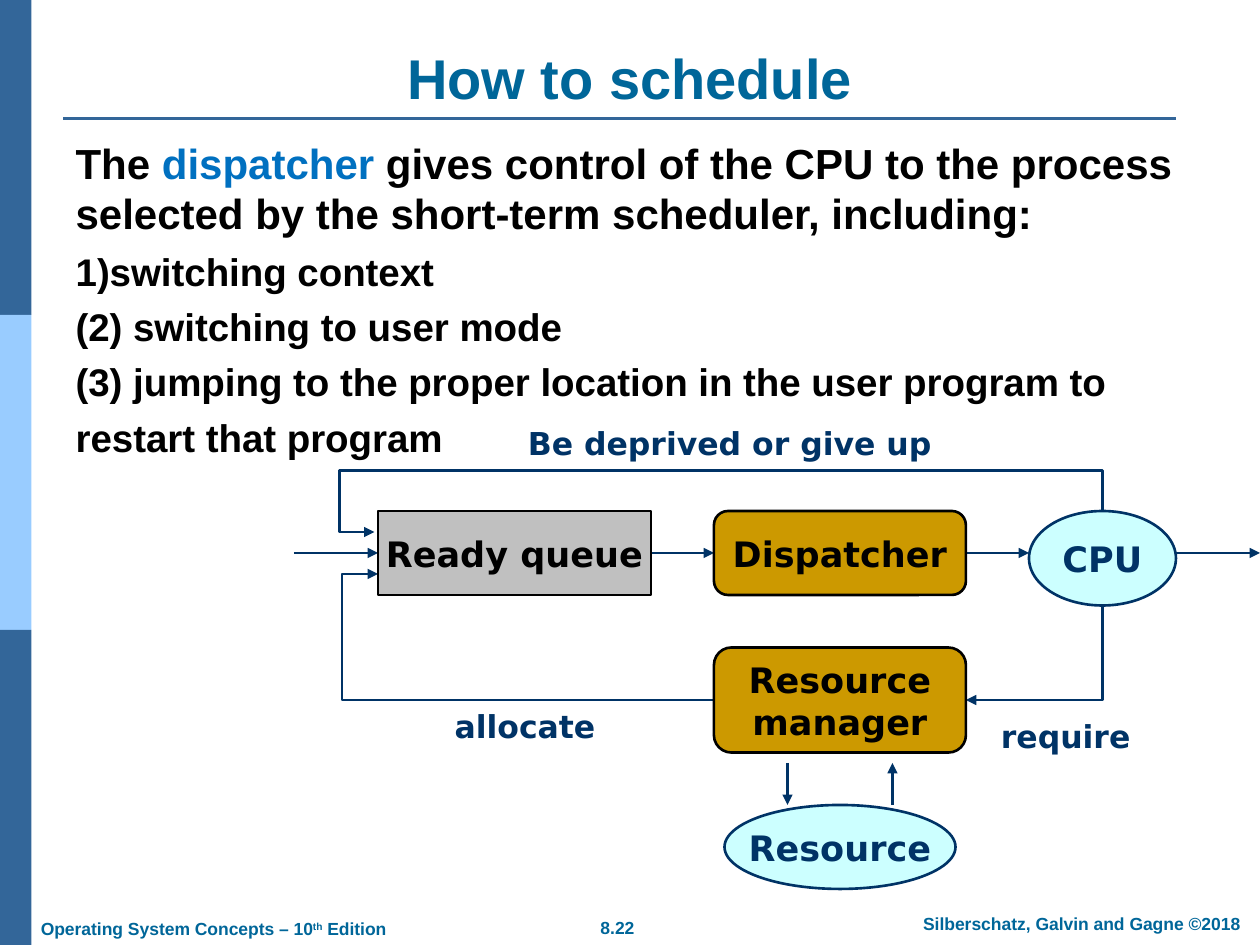
from lxml.etree import SubElement
from pptx import Presentation
from pptx.dml.color import RGBColor
from pptx.enum.shapes import MSO_CONNECTOR, MSO_SHAPE
from pptx.enum.text import MSO_ANCHOR, MSO_AUTO_SIZE, PP_ALIGN
from pptx.oxml.ns import qn
from pptx.util import Pt

HUES = {
    "navy": "003366", "steel": "336699", "sky": "99CCFF", "teal": "006699",
    "blue": "0070C0", "black": "000000", "gray": "C0C0C0", "gold": "CC9900",
    "ice": "CCFFFF",
}
SANS = "DejaVu Sans"
HEAD = {"name": "Arial", "size": Pt(32), "bold": True}
LEAD = {**HEAD, "size": Pt(24)}
ITEM = {**HEAD, "size": Pt(22)}
FOOT = {**HEAD, "size": Pt(10)}
NODE = {"name": SANS, "size": Pt(20), "bold": True}
NOTE = {**NODE, "size": Pt(18)}
FRAME = {"word_wrap": True, "auto_size": MSO_AUTO_SIZE.NONE}
CENTER = {"alignment": PP_ALIGN.CENTER}
TIGHT = {"space_before": Pt(0), "space_after": Pt(0)}


def apply(target, values):
    for key, value in values.items():
        setattr(target, key, value)


def color(hue):
    return RGBColor.from_string(HUES[hue])


def place(shape, box):
    apply(shape, dict(zip(("left", "top", "width", "height"), map(Pt, box))))


def write(par, text, font, hue):
    run = par.add_run()
    run.text = text
    apply(run.font, font)
    run.font.color.rgb = color(hue)
    return run


def stroke(shape, hue, arrow=False):
    shape.line.color.rgb = color(hue)
    shape.line.width = Pt(1.5)
    if arrow:
        tail = SubElement(shape.line._get_or_add_ln(), qn("a:tailEnd"))
        tail.set("type", "triangle")


def add_line(slide, start, end, hue="navy", arrow=True):
    line = slide.shapes.add_connector(
        MSO_CONNECTOR.STRAIGHT, *map(Pt, start + end))
    stroke(line, hue, arrow)
    SubElement(line._element.spPr, qn("a:effectLst"))


def add_route(slide, points):
    spots = [(Pt(x), Pt(y)) for x, y in points]
    pen = slide.shapes.build_freeform(*spots[0])
    pen.add_line_segments(spots[1:], close=False)
    route = pen.convert_to_shape()
    route.shadow.inherit = False
    route.fill.background()
    stroke(route, "navy", True)


def add_block(slide, kind, box, fill, edge=None, lines=()):
    block = slide.shapes.add_shape(kind, *map(Pt, box))
    block.shadow.inherit = False
    block.fill.solid()
    block.fill.fore_color.rgb = color(fill)
    if edge:
        stroke(block, edge)
    else:
        block.line.fill.background()
    frame = block.text_frame
    apply(frame, {"word_wrap": False, "vertical_anchor": MSO_ANCHOR.MIDDLE})
    for num, text in enumerate(lines):
        par = frame.add_paragraph() if num else frame.paragraphs[0]
        apply(par, CENTER)
        write(par, text, NODE, edge)


def add_label(slide, box, text, font, hue, align=PP_ALIGN.CENTER):
    frame = slide.shapes.add_textbox(*map(Pt, box)).text_frame
    apply(frame, FRAME)
    par = frame.paragraphs[0]
    par.alignment = align
    write(par, text, font, hue)
    return par


def fill_title(slide):
    title = slide.shapes.title
    place(title, (36, 21.6, 648, 45.4))
    apply(title.text_frame, {**FRAME, "vertical_anchor": MSO_ANCHOR.BOTTOM})
    par = title.text_frame.paragraphs[0]
    apply(par, CENTER)
    write(par, "How to schedule", HEAD, "teal")


def fill_body(slide):
    body = slide.placeholders[1]
    place(body, (36, 75, 647.3, 191.5))
    frame = body.text_frame
    apply(frame, FRAME)
    rows = [
        (1, None, LEAD, [
            ("The ", "black"), ("dispatcher", "blue"),
            (" gives control of the CPU to the process selected by the "
             "short-term scheduler, including:", "black")]),
        (1.2, "arabicParenR", ITEM, [("switching context", "black")]),
        (1.2, None, ITEM, [("(2) switching to user mode", "black")]),
        (1.2, None, ITEM, [
            ("(3) jumping to the proper location in the user program to "
             "restart that program", "black")]),
    ]
    for num, (space, mark, font, runs) in enumerate(rows):
        par = frame.add_paragraph() if num else frame.paragraphs[0]
        apply(par, {**TIGHT, "line_spacing": space})
        props = par._p.get_or_add_pPr()
        props.set("marL", "0")
        props.set("indent", "0")
        if mark:
            SubElement(props, qn("a:buFont")).set("typeface", "Arial")
            SubElement(props, qn("a:buAutoNum")).set("type", mark)
        else:
            SubElement(props, qn("a:buNone"))
        for text, hue in runs:
            write(par, text, font, hue)


def add_trim(slide):
    for num, hue in enumerate(("steel", "sky", "steel")):
        add_block(slide, MSO_SHAPE.RECTANGLE, (0, 180 * num, 18, 180), hue)
    add_line(slide, (36, 67.7), (672, 67.7), "steel", False)
    add_label(slide, (317.5, 520.6, 70.6, 19.4), "8.22", FOOT, "teal")
    add_label(slide, (511.2, 518.4, 213.8, 19.4),
              "Silberschatz, Galvin and Gagne ©2018", FOOT, "teal")
    par = add_label(slide, (16.2, 521.2, 220, 19.4),
                    "Operating System Concepts – 10", FOOT, "teal",
                    PP_ALIGN.LEFT)
    power = write(par, "th", FOOT, "teal")
    power.font._element.set("baseline", "30000")
    write(par, " Edition", FOOT, "teal")


def add_chart(slide):
    for left, right in ((168, 216), (372, 408), (552, 588), (672, 720)):
        add_line(slide, (left, 316), (right, 316))
    add_line(slide, (450, 436), (450, 460))
    add_line(slide, (510, 460), (510, 436))

    add_route(slide, [(630, 346), (630, 400), (552, 400)])
    add_route(slide, [(409, 400), (195.4, 400), (195.4, 328), (216, 328)])
    add_route(slide, [(630, 297), (630, 269), (194.2, 269),
                      (194.2, 304), (214, 304)])

    cell, card, oval = (MSO_SHAPE.RECTANGLE, MSO_SHAPE.ROUNDED_RECTANGLE,
                        MSO_SHAPE.OVAL)
    nodes = [
        (cell, (216, 292, 156, 48), "gray", "black", ["Ready queue"]),
        (card, (408, 292, 144, 48), "gold", "black", ["Dispatcher"]),
        (card, (408, 370, 144, 60), "gold", "black", ["Resource", "manager"]),
        (oval, (414, 460, 132, 48), "ice", "navy", ["Resource"]),
        (oval, (588, 292, 84, 54), "ice", "navy", ["CPU"]),
    ]
    for node in nodes:
        add_block(slide, *node)

    notes = [
        ((222, 400.3, 156, 28.8), "allocate"),
        ((294, 239, 246, 28.8), "Be deprived or give up"),
        ((558, 406, 102, 28.8), "require"),
    ]
    for box, text in notes:
        add_label(slide, box, text, NOTE, "navy")


def main():
    deck = Presentation()
    apply(deck, {"slide_width": Pt(720), "slide_height": Pt(540)})
    slide = deck.slides.add_slide(deck.slide_layouts[1])
    add_trim(slide)
    fill_title(slide)
    add_chart(slide)
    fill_body(slide)
    deck.save("out.pptx")


if __name__ == "__main__":
    main()
